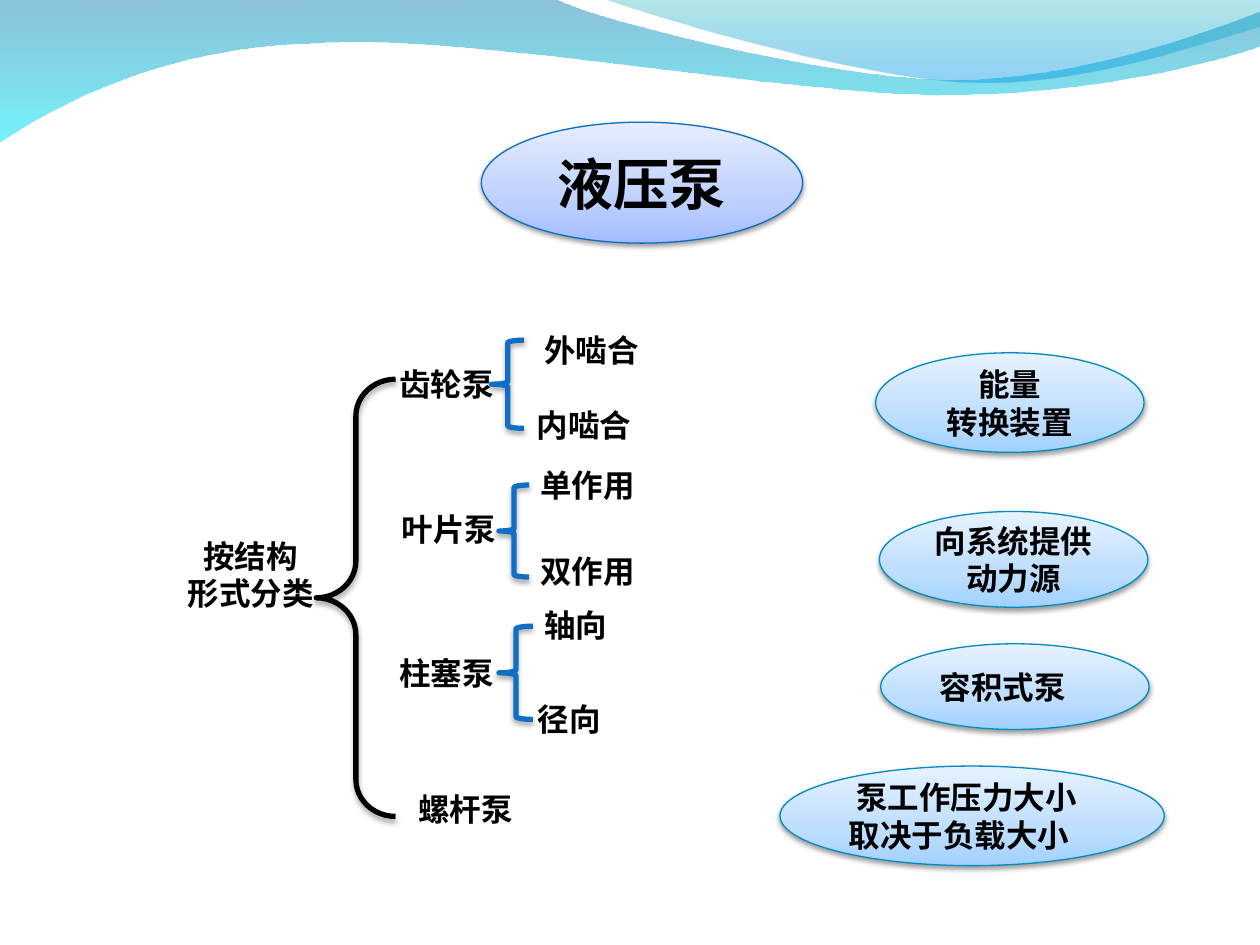
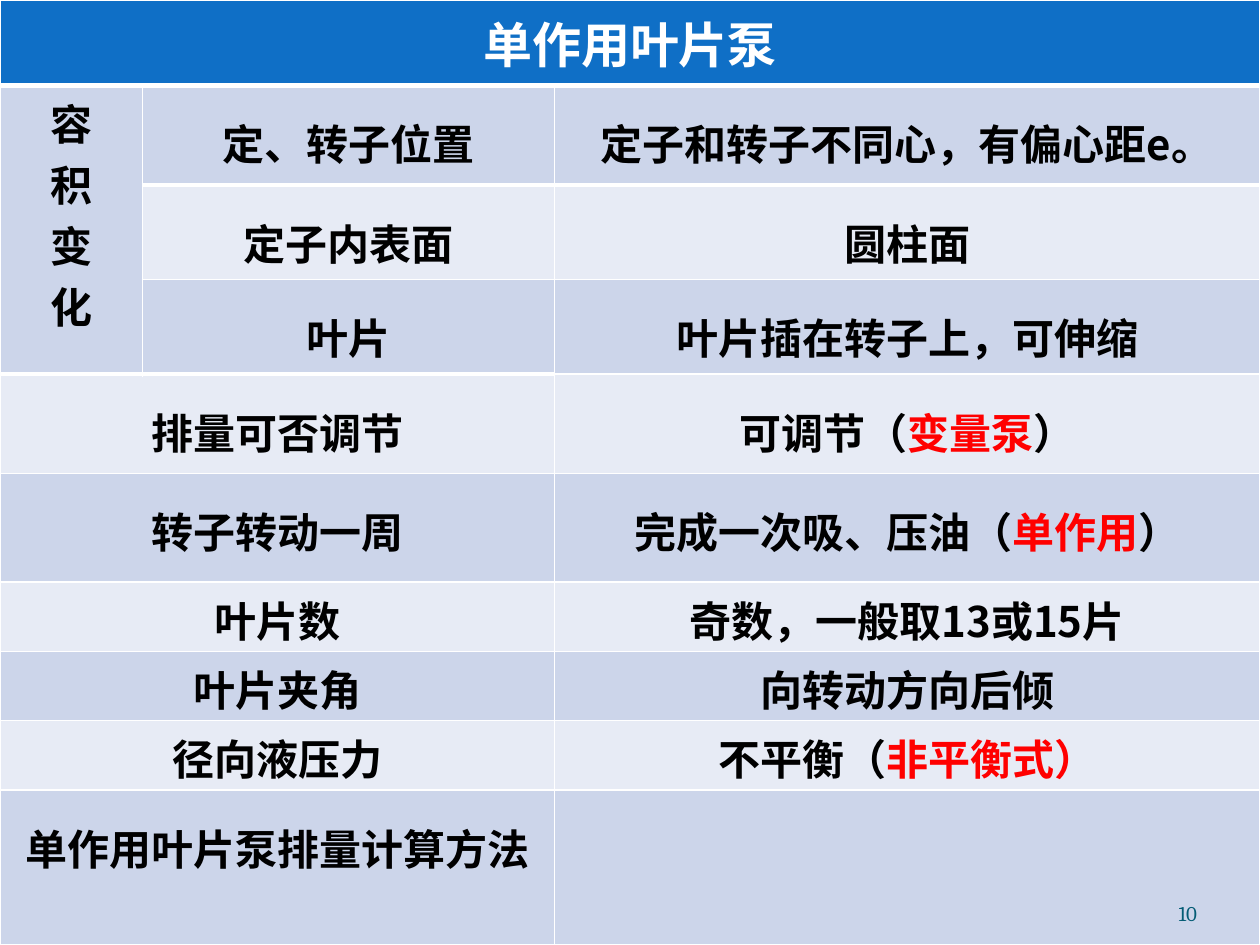
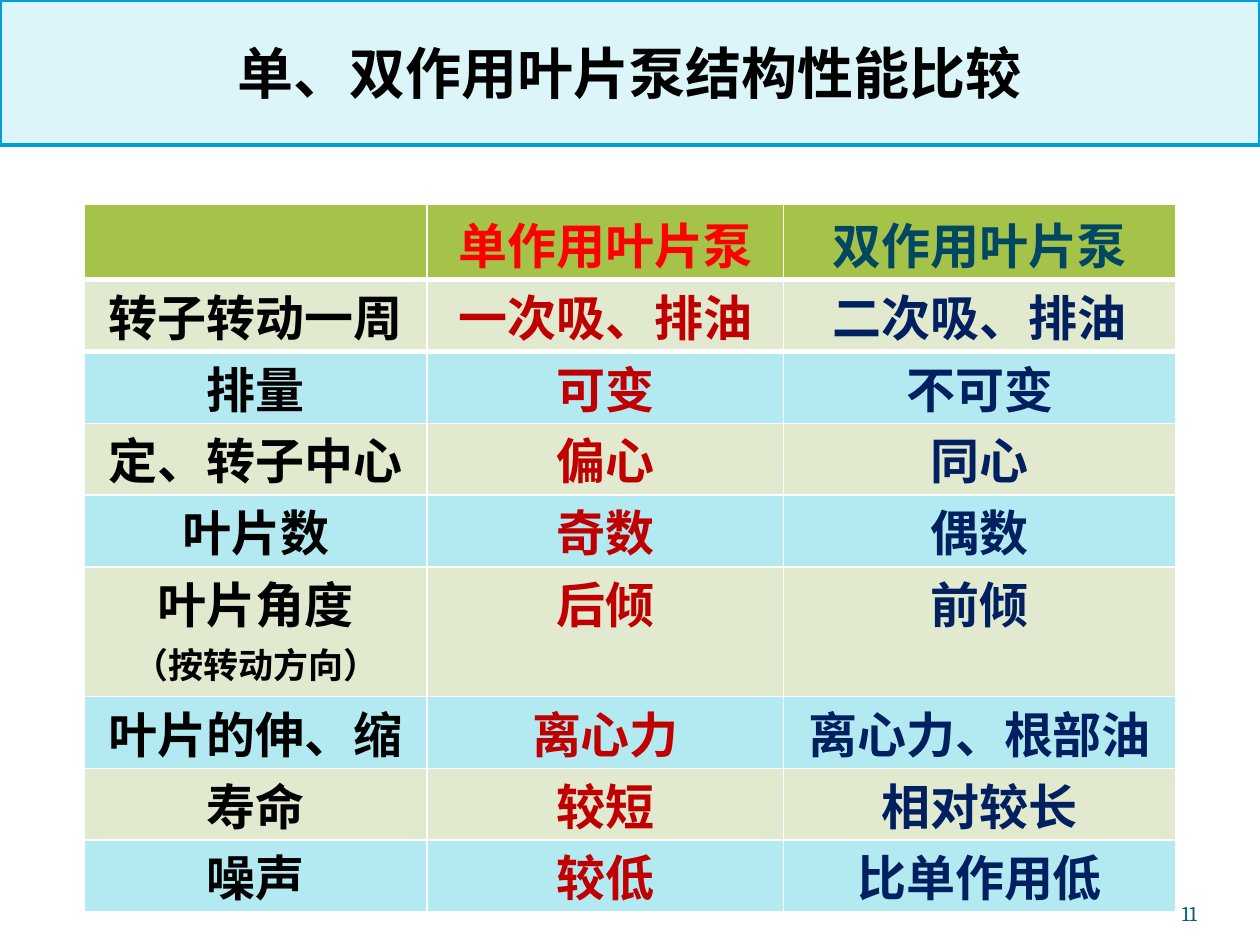
from lxml.etree import SubElement
from pptx import Presentation
from pptx.dml.color import RGBColor
from pptx.enum.shapes import MSO_SHAPE
from pptx.enum.text import MSO_ANCHOR, PP_ALIGN
from pptx.oxml import parse_xml
from pptx.oxml.ns import nsdecls, qn
from pptx.util import Inches, Pt

CJK = "Noto Sans CJK SC"
BLACK = RGBColor(0x00, 0x00, 0x00)
WHITE = RGBColor(0xFF, 0xFF, 0xFF)
RED = RGBColor(0xFF, 0x00, 0x00)
DARK_RED = RGBColor(0xC0, 0x00, 0x00)
NAVY = RGBColor(0x00, 0x20, 0x60)
TEAL = RGBColor(0x00, 0x47, 0x62)
PAGE_TEAL = RGBColor(0x04, 0x5C, 0x75)
BLUE = RGBColor(0x0F, 0x6F, 0xC6)
TITLE_EDGE = RGBColor(0x0A, 0x6D, 0xC6)
BUBBLE_EDGE = RGBColor(0x00, 0x8B, 0xC0)
BANNER_EDGE = RGBColor(0x00, 0x9D, 0xD9)
BANNER = RGBColor(0xDB, 0xF5, 0xF9)
BLUE_BANDS = (RGBColor(0xCC, 0xD5, 0xEA), RGBColor(0xE7, 0xEB, 0xF5))
GREEN = RGBColor(0xA5, 0xC2, 0x49)
GREEN_BANDS = (RGBColor(0xE1, 0xE9, 0xCF), RGBColor(0xB3, 0xEA, 0xF2))


def stops(*entries):
    return [(at, RGBColor.from_string(color), alpha) for at, color, alpha in entries]


WAVE_FILL = stops((0, "0079AF", 45), (100, "00EBF8", 55))
CREST_FILL = stops((0, "00ADB6", 30), (80, "009BE5", 42), (100, "009BE5", 45))
TITLE_FILL = stops((0, "A3BDFF", 100), (35, "BED0FF", 100), (100, "E6EDFF", 100))
BUBBLE_FILL = stops((0, "A2D1FF", 100), (35, "BDDEFF", 100), (100, "E6F2FF", 100))

WAVE = [
    (0, 0), (4.4, -0.01),
    (4.76, 0.17, 6.64, 0.63, 7.58, 0.63), (8.53, 0.63, 9.58, 0.26, 10, 0.09),
    (10.01, 0.36),
    (9.83, 0.44, 8.7, 0.76, 7.46, 0.75), (6.22, 0.75, 3.82, 0.28, 2.58, 0.34),
    (1.29, 0.36, 0.46, 0.83, -0.01, 1.13),
]
CREST = [
    (4.79, -0.01),
    (5.09, 0.11, 6.82, 0.62, 7.69, 0.65), (8.56, 0.69, 9.61, 0.32, 10, 0.21),
    (10, 0),
]


def set_gradient(shape, gradient, angle):
    shape.fill.background()
    entries = "".join(
        f'<a:gs pos="{at * 1000}"><a:srgbClr val="{color}">'
        f'<a:alpha val="{alpha * 1000}"/></a:srgbClr></a:gs>'
        for at, color, alpha in gradient)
    blend = parse_xml(
        f'<a:gradFill {nsdecls("a")} rotWithShape="1"><a:gsLst>{entries}</a:gsLst>'
        f'<a:lin ang="{angle * 60000}" scaled="0"/></a:gradFill>')
    properties = shape.fill._xPr
    properties.replace(properties.find(qn("a:noFill")), blend)


def set_shadow(shape, alpha, distance):
    shape.shadow.inherit = False
    effects = shape._element.spPr.find(qn("a:effectLst"))
    effects.append(parse_xml(
        f'<a:outerShdw {nsdecls("a")} blurRad="{Pt(3.1)}" dist="{Pt(distance)}" '
        f'dir="5400000" rotWithShape="0"><a:srgbClr val="000000">'
        f'<a:alpha val="{alpha * 1000}"/></a:srgbClr></a:outerShdw>'))


def style(paragraph, size, color=BLACK, align=PP_ALIGN.CENTER, face=CJK, bold=True):
    paragraph.alignment = align
    font = paragraph.font
    font.size, font.bold, font.name = Pt(size), bold, face
    font.color.rgb = color
    SubElement(font._element, qn("a:ea")).set("typeface", face)


def write(frame, lines, size, color=BLACK, **look):
    for index, line in enumerate(lines):
        paragraph = frame.add_paragraph() if index else frame.paragraphs[0]
        for part in [line] if isinstance(line, str) else line:
            words, accent = (part, None) if isinstance(part, str) else part
            run = paragraph.add_run()
            run.text = words
            if accent is not None:
                run.font.color.rgb = accent
        style(paragraph, size, color, **look)


def label(slide, words, left, top, width=1.25, height=0.46, align=PP_ALIGN.LEFT):
    frame = slide.shapes.add_textbox(
        Inches(left), Inches(top), Inches(width), Inches(height)).text_frame
    frame.word_wrap = True
    write(frame, words.split("\n"), 18, align=align)


def page_number(slide, number):
    frame = slide.shapes.add_textbox(
        Inches(8.67), Inches(6.95), Inches(0.83), Inches(0.4)).text_frame
    frame.word_wrap = True
    frame.vertical_anchor = MSO_ANCHOR.BOTTOM
    frame.margin_left = frame.margin_right = frame.margin_top = frame.margin_bottom = 0
    write(frame, [str(number)], 12, PAGE_TEAL,
          align=PP_ALIGN.RIGHT, face="Cambria", bold=False)


def bend(shape, outline):
    legs = iter(list(shape._element.iter(qn("a:lnTo"))))
    for segment in outline[1:]:
        group = [next(legs) for _ in range(len(segment) // 2)]
        if len(group) == 3:
            curve = parse_xml(f'<a:cubicBezTo {nsdecls("a")}/>')
            group[0].addprevious(curve)
            for leg in group:
                curve.append(leg[0])
                leg.getparent().remove(leg)


def master_waves(deck, slide):
    backdrop = deck.slide_master.shapes._spTree
    for position, (outline, gradient) in enumerate(
            ((WAVE, WAVE_FILL), (CREST, CREST_FILL)), 2):
        points = [(Inches(segment[i]), Inches(segment[i + 1]))
                  for segment in outline for i in range(0, len(segment), 2)]
        builder = slide.shapes.build_freeform(*points[0])
        builder.add_line_segments(points[1:], close=True)
        wave = builder.convert_to_shape()
        bend(wave, outline)
        wave.shadow.inherit = False
        wave.line.fill.background()
        set_gradient(wave, gradient, 90)
        backdrop.insert(position, wave._element)


def brace(slide, left, top, width, height, color=BLUE, curl=None):
    bracket = slide.shapes.add_shape(
        MSO_SHAPE.LEFT_BRACE, Inches(left), Inches(top), Inches(width), Inches(height))
    bracket.fill.background()
    bracket.line.color.rgb = color
    bracket.line.width = Pt(3)
    if curl:
        bracket.adjustments[0] = curl
    set_shadow(bracket, 35, 1.8)


def bubble(slide, box, lines, size=18, gradient=BUBBLE_FILL, edge=BUBBLE_EDGE,
           indent=None):
    oval = slide.shapes.add_shape(MSO_SHAPE.OVAL, *map(Inches, box))
    set_gradient(oval, gradient, 270)
    oval.line.color.rgb = edge
    oval.line.width = Pt(0.75)
    set_shadow(oval, 38, 1.6)
    frame = oval.text_frame
    frame.word_wrap = True
    frame.vertical_anchor = MSO_ANCHOR.MIDDLE
    write(frame, lines, size, align=PP_ALIGN.LEFT if indent else PP_ALIGN.CENTER)
    if indent:
        frame.paragraphs[0]._p.get_or_add_pPr().set("indent", str(Inches(indent)))


def classification(slide, left, top):
    label(slide, "按结构\n形式分类", left + 0.01, top + 1.63, 1.6, 0.83, PP_ALIGN.CENTER)
    brace(slide, left + 1.33, top + 0.43, 0.63, 3.47, BLACK, 0.465)
    families = [
        ("齿轮泵", 1.89, 0.27, (2.72, 0.12, 0.26, 0.7),
         (("外啮合", 3.04, 0), ("内啮合", 2.98, 0.59))),
        ("叶片泵", 1.91, 1.42, (2.78, 1.27, 0.24, 0.73),
         (("单作用", 3.01, 1.07), ("双作用", 3.01, 1.75))),
        ("柱塞泵", 1.89, 2.56, (2.78, 2.39, 0.27, 0.74),
         (("轴向", 3.04, 2.18), ("径向", 2.99, 2.93))),
        ("螺杆泵", 2.04, 3.64, None, ()),
    ]
    for family, x, y, bracket, kinds in families:
        for words, dx, dy in ((family, x, y), *kinds):
            label(slide, words, left + dx, top + dy)
        if bracket:
            dx, dy, width, height = bracket
            brace(slide, left + dx, top + dy, width, height)


def features(slide, left, top):
    for lines, dx, dy, width, height, indent in (
            (["能量", "转换装置"], 0.76, 0, 2.13, 0.79, None),
            (["向系统提供动力源"], 0.79, 1.26, 2.13, 0.76, None),
            (["容积式泵"], 0.8, 2.31, 2.13, 0.68, 0.06),
            (["泵工作压力大小取决于负载大小"], 0, 3.28, 3.05, 0.79, 0.06)):
        bubble(slide, (left + dx, top + dy, width, height), lines, indent=indent)


def grid(slide, left, top, columns, rows):
    table = slide.shapes.add_table(
        len(rows), len(columns), Inches(left), Inches(top),
        Inches(sum(columns)), Inches(sum(rows))).table
    for column, width in zip(table.columns, columns):
        column.width = Inches(width)
    for row, height in zip(table.rows, rows):
        row.height = Inches(height)
    return table


def paint(table, header, bands):
    for index, row in enumerate(table.rows):
        for cell in row.cells:
            cell.fill.solid()
            cell.fill.fore_color.rgb = bands[(index - 1) % 2] if index else header
            if index < 2:
                edge = "lnT" if index else "lnB"
                cell._tc.get_or_add_tcPr().insert(0, parse_xml(
                    f'<a:{edge} {nsdecls("a")} w="{Pt(3)}"><a:solidFill>'
                    f'<a:srgbClr val="{WHITE}"/></a:solidFill></a:{edge}>'))


def fill_cell(cell, lines, size, color=BLACK, inset=0.05):
    cell.margin_top, cell.margin_bottom = Inches(inset), 0
    write(cell.text_frame, lines, size, color)


def single_acting_table(slide, left, top):
    heights = [0.68, 0.79, 0.75, 0.75, 0.79, 0.86, 0.55, 0.55, 0.55, 1.23]
    table = grid(slide, left, top, [1.13, 3.27, 5.6], heights)
    paint(table, BLUE, BLUE_BANDS)
    table.cell(0, 0).merge(table.cell(0, 2))
    table.cell(1, 0).merge(table.cell(3, 0))
    fill_cell(table.cell(0, 0), ["单作用叶片泵"], 28, WHITE)
    fill_cell(table.cell(1, 0), list("容积变化"), 24)
    entries = [
        ("定、转子位置", "定子和转子不同心，有偏心距e。"),
        ("定子内表面", "圆柱面"),
        ("叶片", "叶片插在转子上，可伸缩"),
        ("排量可否调节", ["可调节（", ("变量泵", RED), "）"]),
        ("转子转动一周", ["完成一次吸、压油（", ("单作用", RED), "）"]),
        ("叶片数", "奇数，一般取13或15片"),
        ("叶片夹角", "向转动方向后倾"),
        ("径向液压力", ["不平衡（", ("非平衡式）", RED)]),
        ("单作用叶片泵排量计算方法", None),
    ]
    for row, (aspect, finding) in enumerate(entries, 1):
        inset = 0.21 if heights[row] > 0.6 else 0.05
        if row > 3:
            table.cell(row, 0).merge(table.cell(row, 1))
        fill_cell(table.cell(row, 0 if row > 3 else 1), [aspect], 24, inset=inset)
        if finding:
            fill_cell(table.cell(row, 2), [finding], 24, inset=inset)


def comparison_table(slide, left, top):
    entries = [
        ("", "单作用叶片泵", "双作用叶片泵"),
        ("转子转动一周", "一次吸、排油", "二次吸、排油"),
        ("排量", "可变", "不可变"),
        ("定、转子中心", "偏心", "同心"),
        ("叶片数", "奇数", "偶数"),
        ("叶片角度", "后倾", "前倾"),
        ("叶片的伸、缩", "离心力", "离心力、根部油"),
        ("寿命", "较短", "相对较长"),
        ("噪声", "较低", "比单作用低"),
    ]
    heights = [0.6] + [0.57] * 4 + [1.03] + [0.57] * 3
    table = grid(slide, left, top, [2.72, 2.83, 3.11], heights)
    paint(table, GREEN, GREEN_BANDS)
    for row, entry in enumerate(entries):
        colors = (BLACK, DARK_RED, NAVY) if row else (BLACK, RED, TEAL)
        inset = 0 if row else 0.03
        for column, (words, color) in enumerate(zip(entry, colors)):
            if words:
                fill_cell(table.cell(row, column), [words], 28, color, inset)
    note = table.cell(5, 0).text_frame.add_paragraph()
    note.text = "（按转动方向）"
    style(note, 20)


def banner(slide, title, height):
    band = slide.shapes.add_shape(
        MSO_SHAPE.RECTANGLE, 0, 0, Inches(10), Inches(height))
    band.shadow.inherit = False
    band.fill.solid()
    band.fill.fore_color.rgb = BANNER
    band.line.color.rgb = BANNER_EDGE
    band.line.width = Pt(2)
    band.text_frame.word_wrap = True
    band.text_frame.vertical_anchor = MSO_ANCHOR.MIDDLE
    write(band.text_frame, [title], 32)


def main():
    deck = Presentation()
    deck.slide_width, deck.slide_height = Inches(10), Inches(7.5)
    overview, single_acting, comparison = (
        deck.slides.add_slide(deck.slide_layouts[6]) for _ in range(3))

    master_waves(deck, overview)
    classification(overview, 1.18, 2.58)
    features(overview, 6.19, 2.8)
    bubble(overview, (3.82, 0.97, 2.55, 0.96), ["液压泵"], 32, TITLE_FILL, TITLE_EDGE)

    single_acting_table(single_acting, 0, 0)
    page_number(single_acting, 10)

    comparison_table(comparison, 0.67, 1.62)
    banner(comparison, "单、双作用叶片泵结构性能比较", 1.15)
    page_number(comparison, 11)

    deck.save("out.pptx")


if __name__ == "__main__":
    main()
